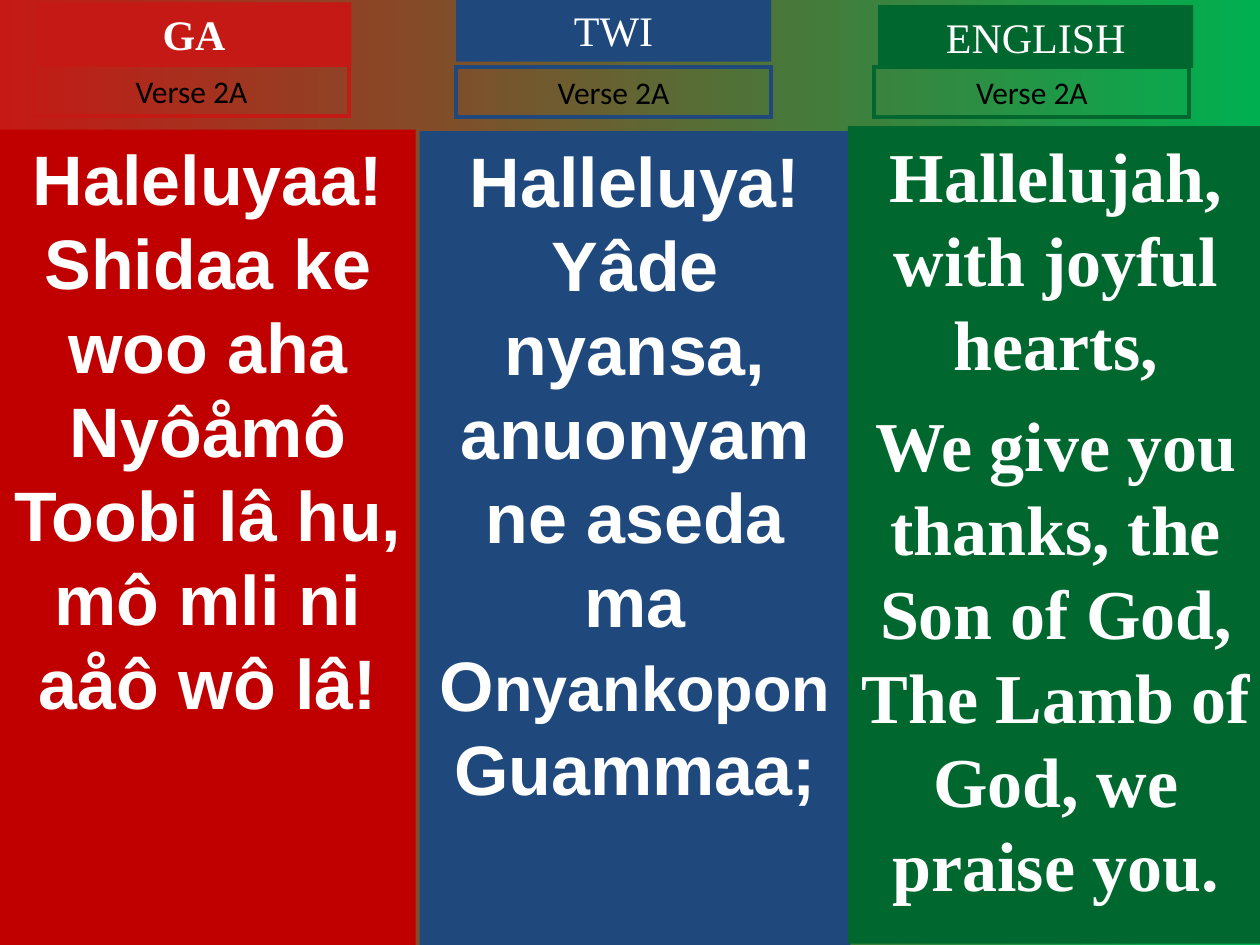
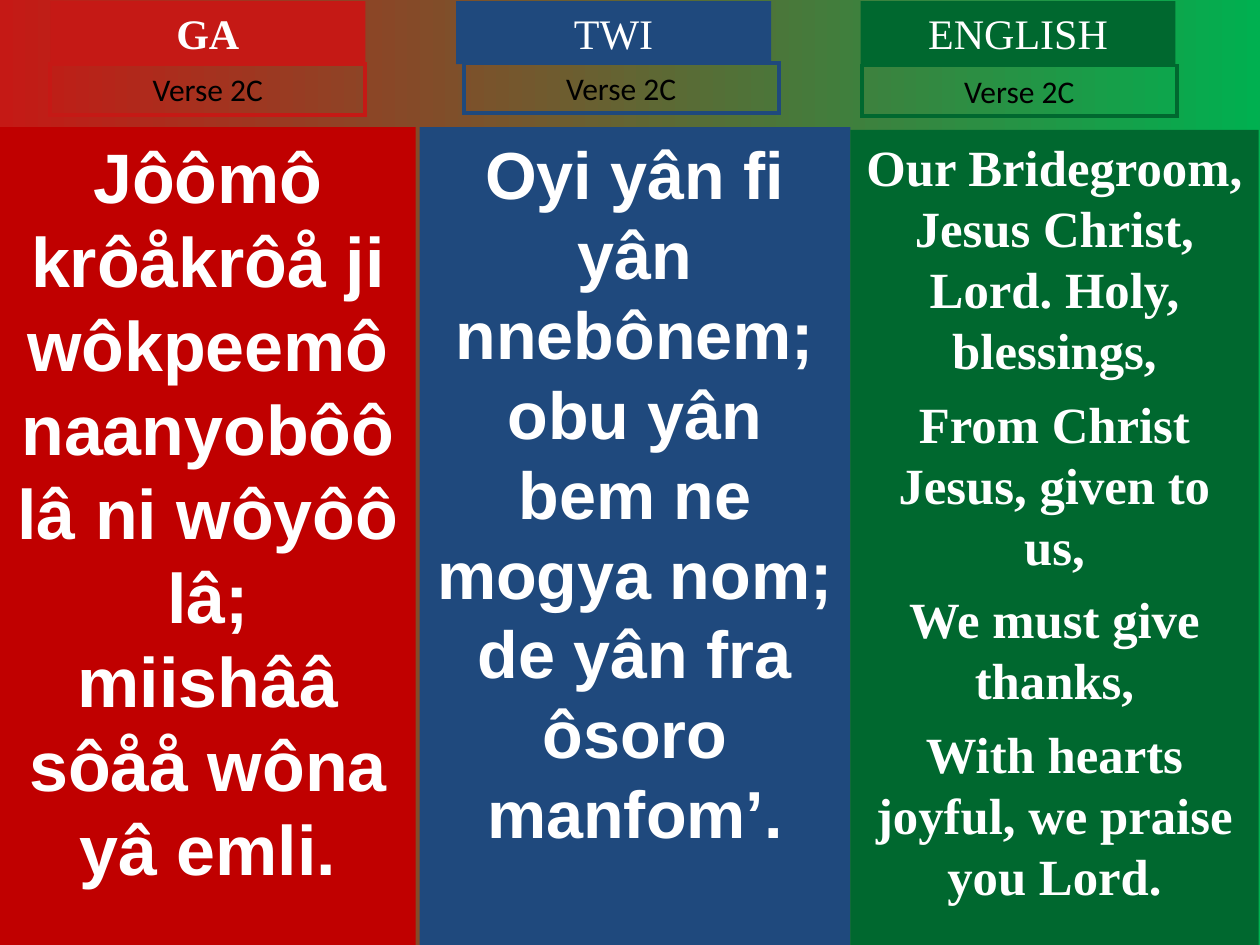
"""Build two hymn slides showing a verse side by side in Ga, Twi and English."""
import lxml.etree
import pptx
import pptx.dml.color
import pptx.enum.shapes
import pptx.enum.text
import pptx.oxml.ns
import pptx.util
from pptx.util import Inches

THEME = {
    "white": "FFFFFF", "black": "000000",
    "gradient": ("C51915", "00B050"),
    "label_font": "Times New Roman", "label_size": 24,
    "verse_font": "Calibri", "verse_size": 18,
    "small_word_size": 36, "outline": 2.25,
    "languages": {
        "GA": {"panel": "C00000", "label": "C51915", "font": "Arial", "bold_label": True},
        "TWI": {"panel": "1F497D", "label": "1F497D", "font": "Arial", "bold_label": False},
        "ENGLISH": {"panel": "00682F", "label": "00682F", "font": "Times New Roman", "bold_label": False},
    },
}
LABEL_WIDTH, LABEL_HEIGHT, VERSE_HEIGHT = 2.5, 0.5, 0.4

VERSES = {
    "Verse 2A": {
        "GA": {
            "panel": (0, 1.03, 3.3, 6.47), "label": (0.29, 0.02), "verse": (0.27, 0.52),
            "size": 40, "gap": 0,
            "lines": ["Haleluyaa! Shidaa ke woo aha Nyôåmô Toobi lâ hu,",
                      "mô mli ni aåô wô lâ!"]},
        "TWI": {
            "panel": (3.33, 1.04, 3.42, 6.46), "label": (3.62, -0.01), "verse": (3.62, 0.53),
            "size": 40, "gap": 0,
            "lines": ["Halleluya! Yâde nyansa,",
                      "anuonyam ne aseda ma O|nyankopon |Guammaa;"]},
        "ENGLISH": {
            "panel": (6.73, 1, 3.3, 6.49), "label": (6.97, 0.04), "verse": (6.94, 0.53),
            "size": 40, "gap": 10,
            "lines": ["Hallelujah, with joyful hearts,",
                      "We give you thanks, the Son of God, The Lamb of God, we praise you."]},
    },
    "Verse 2C": {
        "GA": {
            "panel": (0, 1.01, 3.3, 6.49), "label": (0.4, 0.01), "verse": (0.4, 0.51),
            "size": 40, "gap": 0,
            "lines": ["Jôômô krôåkrôå ji wôkpeemô",
                      "naanyobôô lâ ni wôyôô lâ;",
                      "miishââ sôåå wôna yâ emli."]},
        "TWI": {
            "panel": (3.33, 1.01, 3.42, 6.49), "label": (3.62, 0.01), "verse": (3.68, 0.5),
            "size": 38, "gap": 0,
            "lines": ["Oyi yân fi yân nnebônem;",
                      "obu yân bem ne mogya nom;",
                      "de yân fra ôsoro manfom’."]},
        "ENGLISH": {
            "panel": (6.75, 1.03, 3.24, 6.51), "label": (6.83, 0.01), "verse": (6.84, 0.52),
            "size": 29, "gap": 7.3,
            "lines": ["Our Bridegroom, Jesus Christ, Lord. Holy, blessings,",
                      "From Christ Jesus, given to us,",
                      "We must give thanks,",
                      "With hearts joyful, we praise you Lord."]},
    },
}


def add_box(slide, box, fill=None, outline=None):
    """Add a rectangle with top-anchored, wrapped text and no shadow."""
    shape = slide.shapes.add_shape(
        pptx.enum.shapes.MSO_SHAPE.RECTANGLE, *[Inches(length) for length in box])
    shape.shadow.inherit = False
    if fill:
        shape.fill.solid()
        shape.fill.fore_color.rgb = pptx.dml.color.RGBColor.from_string(fill)
    else:
        shape.fill.background()
    if outline:
        shape.line.color.rgb = pptx.dml.color.RGBColor.from_string(outline)
        shape.line.width = pptx.util.Pt(THEME["outline"])
        line_element = shape.element.spPr.find(pptx.oxml.ns.qn("a:ln"))
        lxml.etree.SubElement(line_element, pptx.oxml.ns.qn("a:miter"), lim="800000")
    else:
        shape.line.fill.background()
    shape.text_frame.word_wrap = True
    shape.text_frame.vertical_anchor = pptx.enum.text.MSO_ANCHOR.TOP
    return shape


def write_lines(shape, lines, font, size, color, bold=False, gap=0):
    """Write centred paragraphs; words between bars take the small word size."""
    shape.text_frame.text = "\n".join(line.split("|")[0] for line in lines)
    for number, (paragraph, line) in enumerate(zip(shape.text_frame.paragraphs, lines)):
        paragraph.alignment = pptx.enum.text.PP_ALIGN.CENTER
        paragraph.space_before = pptx.util.Pt(gap if number else 0)
        for piece in line.split("|")[1:]:
            paragraph.add_run().text = piece
        for index, run in enumerate(paragraph.runs):
            run.font.name = font
            run.font.size = pptx.util.Pt(THEME["small_word_size"] if index % 2 else size)
            run.font.bold = bold
            run.font.color.rgb = pptx.dml.color.RGBColor.from_string(color)


presentation = pptx.Presentation()
presentation.slide_width = Inches(10)
presentation.slide_height = Inches(7.5)

background = presentation.slide_master.background.fill
background.gradient()
background.gradient_angle = 0
for stop, position, color in zip(background.gradient_stops, (0, 1), THEME["gradient"]):
    stop.position = position
    stop.color.rgb = pptx.dml.color.RGBColor.from_string(color)

for verse_name, columns in VERSES.items():
    slide = presentation.slides.add_slide(presentation.slide_layouts[6])
    for language, column in columns.items():
        style = THEME["languages"][language]
        panel = add_box(slide, column["panel"], fill=style["panel"])
        write_lines(panel, column["lines"], style["font"], column["size"], THEME["white"],
                    bold=True, gap=column["gap"])
        label = add_box(slide, (*column["label"], LABEL_WIDTH, LABEL_HEIGHT), fill=style["label"])
        write_lines(label, [language], THEME["label_font"], THEME["label_size"], THEME["white"],
                    bold=style["bold_label"])
        verse = add_box(slide, (*column["verse"], LABEL_WIDTH, VERSE_HEIGHT), outline=style["label"])
        write_lines(verse, [verse_name], THEME["verse_font"], THEME["verse_size"], THEME["black"])

presentation.save("out.pptx")
